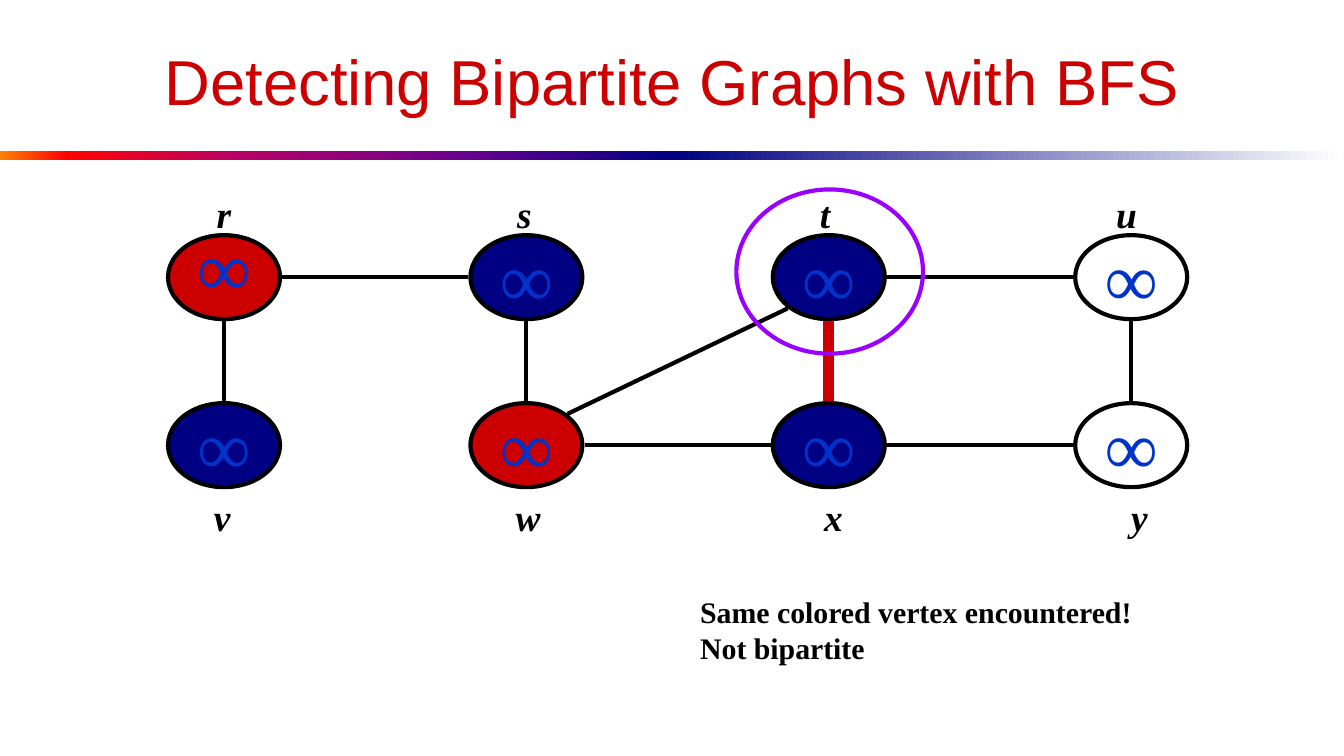
import math

import lxml.etree
import pptx
import pptx.dml.color
import pptx.enum.shapes
import pptx.enum.text
import pptx.oxml.ns
import pptx.util

Pt = pptx.util.Pt
qn = pptx.oxml.ns.qn
Shape = pptx.enum.shapes.MSO_SHAPE
Align = pptx.enum.text.PP_ALIGN
Anchor = pptx.enum.text.MSO_ANCHOR

RED, NAVY, BLACK = "CC0000", "000082", "000000"
SERIF = "Times New Roman"
NODE_WIDTH, NODE_HEIGHT = 60, 45
COLUMN_STEP, ROW_STEP = 162, 90
EDGE_GAP = 1.2

# name: column, row, fill, label shift, line spacing
VERTICES = {
    "r": (0, 0, RED, 0, 0.7),
    "s": (1, 0, NAVY, -1, 1),
    "t": (2, 0, NAVY, -2, 1),
    "u": (3, 0, None, -2.5, 1),
    "v": (0, 1, NAVY, -1, 1),
    "w": (1, 1, RED, 1, 1),
    "x": (2, 1, NAVY, 2.5, 1),
    "y": (3, 1, None, 4.5, 1),
}
EDGES = ["vr", "rs", "sw", "wt", "wx", "xt", "tu", "xy", "yu"]
CONFLICT = "xt"


def color(value):
    return pptx.dml.color.RGBColor.from_string(value)


def add_span(para, text, size, font, ink, bold=False, italic=False):
    span = para.add_run()
    span.text = text
    span.font.size = Pt(size)
    span.font.name = font
    span.font.bold = bold
    span.font.italic = italic
    span.font.color.rgb = color(ink)


def add_text_box(page, left, top, width, height, wrap=True):
    box = page.shapes.add_textbox(Pt(left), Pt(top), Pt(width), Pt(height))
    box.text_frame.word_wrap = wrap
    return box


def add_ellipse(page, left, top, width, height, fill, outline):
    oval = page.shapes.add_shape(Shape.OVAL, Pt(left), Pt(top), Pt(width), Pt(height))
    oval.shadow.inherit = False
    if fill:
        oval.fill.solid()
        oval.fill.fore_color.rgb = color(fill)
    else:
        oval.fill.background()
    oval.line.color.rgb = color(outline)
    oval.line.width = Pt(2.25)
    return oval


def add_gradient_bar(page, left, top, width, height, stops):
    bar = page.shapes.add_shape(Shape.RECTANGLE, Pt(left), Pt(top), Pt(width), Pt(height))
    bar.shadow.inherit = False
    bar.line.fill.background()
    bar.fill.gradient()
    bar.fill.gradient_angle = 0
    stop_list = next(bar._element.iter(qn("a:gsLst")))
    stop_list.clear()
    for percent, value in stops:
        stop = lxml.etree.SubElement(stop_list, qn("a:gs"), pos=str(percent * 1000))
        lxml.etree.SubElement(stop, qn("a:srgbClr"), val=value)


def add_rule(page, left, top, width, height):
    half = width / 2
    warm = [(0, "FF8200"), (10, "FF0000"), (35, "BA0066"), (70, "66008F"), (100, NAVY)]
    add_gradient_bar(page, left, top, half, height, warm)
    add_gradient_bar(page, left + half, top, half, height, [(0, NAVY), (100, "FFFFFF")])


def add_title(page, left, top, width, height):
    frame = add_text_box(page, left, top, width, height).text_frame
    frame.vertical_anchor = Anchor.MIDDLE
    para = frame.paragraphs[0]
    para.alignment = Align.CENTER
    add_span(para, "Detecting Bipartite Graphs with BFS", 34, "Arial", RED)


def add_vertex(page, left, top, fill, spacing):
    oval = add_ellipse(page, left, top, NODE_WIDTH, NODE_HEIGHT, fill, BLACK)
    frame = oval.text_frame
    frame.word_wrap = False
    frame.vertical_anchor = Anchor.MIDDLE
    para = frame.paragraphs[0]
    para.alignment = Align.CENTER
    para.line_spacing = spacing
    add_span(para, "∞", 40, SERIF, "0033CC")


def add_label(page, name, center, top):
    width = 28
    box = add_text_box(page, center - width / 2, top, width, 31.5, wrap=False)
    para = box.text_frame.paragraphs[0]
    para.alignment = Align.CENTER
    add_span(para, name, 20, SERIF, BLACK, bold=True, italic=True)


def rim_point(center, across, down):
    reach = math.hypot(across, down)
    return (
        center[0] + across / reach * (NODE_WIDTH / 2 + EDGE_GAP),
        center[1] + down / reach * (NODE_HEIGHT / 2 + EDGE_GAP),
    )


def add_edge(page, start, end, ink, weight):
    across = (end[0] > start[0]) - (end[0] < start[0])
    down = (end[1] > start[1]) - (end[1] < start[1])
    points = rim_point(start, across, down) + rim_point(end, -across, -down)
    edge = page.shapes.add_connector(
        pptx.enum.shapes.MSO_CONNECTOR.STRAIGHT, *(Pt(value) for value in points)
    )
    edge.line.color.rgb = color(ink)
    edge.line.width = Pt(weight)
    lxml.etree.SubElement(edge._element.spPr, qn("a:effectLst"))


def add_graph(page, left, top):
    centers = {}
    for name, (column, row, fill, shift, spacing) in VERTICES.items():
        x = left + column * COLUMN_STEP
        y = top + row * ROW_STEP
        centers[name] = (x + NODE_WIDTH / 2, y + NODE_HEIGHT / 2)
        add_vertex(page, x, y, fill, spacing)
        label_top = y + NODE_HEIGHT if row else y - 27
        add_label(page, name, centers[name][0] + shift, label_top)
    for pair in EDGES:
        ink, weight = (RED, 6) if pair == CONFLICT else (BLACK, 2.25)
        add_edge(page, centers[pair[0]], centers[pair[1]], ink, weight)
    x, y = centers["t"]
    add_ellipse(page, x - 49.5, y - 47, 100, 88, None, "9900FF")


def add_note(page, left, top, width, height):
    frame = add_text_box(page, left, top, width, height).text_frame
    frame.margin_top = frame.margin_bottom = Pt(7.2)
    for index, text in enumerate(["Same colored vertex encountered!", "Not bipartite"]):
        para = frame.add_paragraph() if index else frame.paragraphs[0]
        add_span(para, text, 16, SERIF, BLACK, bold=True)


def main():
    deck = pptx.Presentation()
    deck.slide_width, deck.slide_height = Pt(720), Pt(405)
    page = deck.slides.add_slide(deck.slide_layouts[6])
    add_rule(page, 0, 81, 720, 4.5)
    add_title(page, 36, 13.5, 648, 58.5)
    add_graph(page, 90, 126)
    add_note(page, 368, 311, 248, 53)
    deck.save("out.pptx")


if __name__ == "__main__":
    main()
